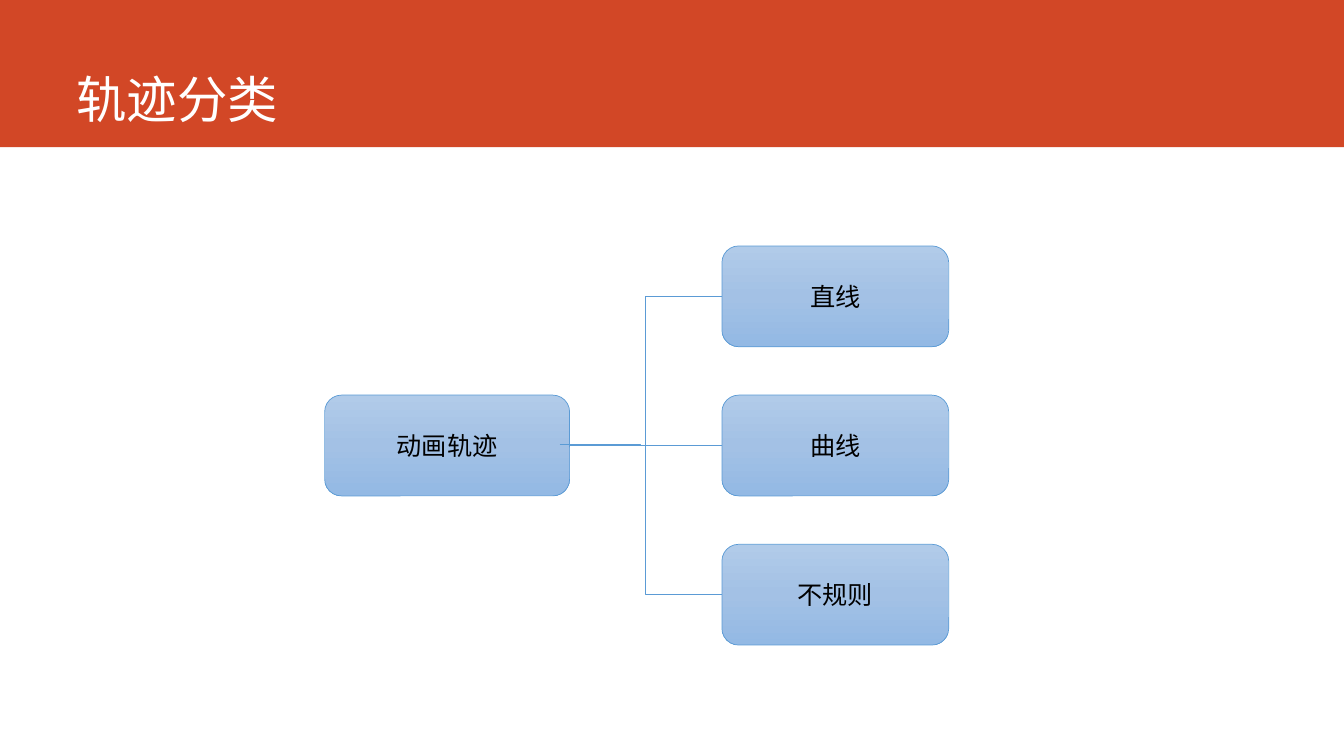
import copy

import pptx
import pptx.dml.color
import pptx.enum.shapes
import pptx.enum.text
import pptx.oxml
import pptx.oxml.ns
import pptx.util

Inches = pptx.util.Inches
RGBColor = pptx.dml.color.RGBColor
SHAPE = pptx.enum.shapes.MSO_SHAPE
ANCHOR = pptx.enum.text.MSO_ANCHOR
ALIGN = pptx.enum.text.PP_ALIGN
qn = pptx.oxml.ns.qn

BANNER_RED = RGBColor(0xD2, 0x47, 0x26)
WHITE = RGBColor(0xFF, 0xFF, 0xFF)
BLACK = RGBColor(0x00, 0x00, 0x00)
LINE_BLUE = RGBColor(0x5B, 0x9B, 0xD5)
GRADIENT = [
    RGBColor(0xB1, 0xCB, 0xE9),
    RGBColor(0xA3, 0xC1, 0xE5),
    RGBColor(0x93, 0xB9, 0xE4),
]
CHINESE_FONT = "Noto Sans CJK SC"


def write_text(shape, text, anchor, align, font_format):
    frame = shape.text_frame
    frame.word_wrap = True
    frame.vertical_anchor = anchor
    para = frame.paragraphs[0]
    para.alignment = align
    span = para.add_run()
    span.text = text
    for name, value in font_format.items():
        setattr(span.font, name, value)
    span.font.color.rgb = WHITE if anchor == ANCHOR.BOTTOM else BLACK
    east_asian = pptx.oxml.parse_xml(
        f'<a:ea {pptx.oxml.ns.nsdecls("a")} typeface="{CHINESE_FONT}"/>')
    span.font._element.find(qn("a:latin")).addnext(east_asian)


def add_node(text, left, top, width):
    node = page.shapes.add_shape(
        SHAPE.ROUNDED_RECTANGLE, Inches(left), Inches(top),
        Inches(width), Inches(NODE_HEIGHT))
    node.shadow.inherit = False
    node.line.color.rgb = LINE_BLUE
    node.line.width = pptx.util.Pt(0.5)

    # Three stops, light at the top
    node.fill.gradient()
    node.fill.gradient_angle = 270
    first_stop = node._element.spPr.find(".//" + qn("a:gs"))
    first_stop.addnext(copy.deepcopy(first_stop))
    for index, stop in enumerate(node.fill.gradient_stops):
        stop.position = index / 2
        stop.color.rgb = GRADIENT[index]

    write_text(node, text, ANCHOR.MIDDLE, ALIGN.CENTER,
               {"size": pptx.util.Pt(18), "name": "Karla"})


deck = pptx.Presentation()
deck.slide_width = Inches(13.33)
deck.slide_height = Inches(7.5)
page = deck.slides.add_slide(deck.slide_layouts[6])

# Title banner
banner = page.shapes.add_shape(
    SHAPE.RECTANGLE, 0, 0, deck.slide_width, Inches(1.46))
banner.shadow.inherit = False
banner.fill.solid()
banner.fill.fore_color.rgb = BANNER_RED
banner.line.fill.background()

title = page.shapes.add_textbox(
    Inches(0.66), 0, Inches(11.76), Inches(1.32))
write_text(title, "轨迹分类", ANCHOR.BOTTOM, ALIGN.LEFT,
           {"size": pptx.util.Pt(36), "name": CHINESE_FONT})

# Tree nodes
NODE_HEIGHT = 1
ROOT_LEFT, ROOT_WIDTH = 3.22, 2.43
LEAF_LEFT, LEAF_WIDTH = 7.16, 2.25
LEAF_TOP, LEAF_STEP = 2.44, 1.48
leaves = ["直线", "曲线", "不规则"]

for row, leaf in enumerate(leaves):
    add_node(leaf, LEAF_LEFT, LEAF_TOP + row * LEAF_STEP, LEAF_WIDTH)
root_top = LEAF_TOP + LEAF_STEP
add_node("动画轨迹", ROOT_LEFT, root_top, ROOT_WIDTH)

# Branches; the middle one starts slightly inside the root
root_right = ROOT_LEFT + ROOT_WIDTH
root_middle = root_top + NODE_HEIGHT / 2
starts = [
    (root_right, root_middle),
    (root_right - 0.1, root_middle - 0.01),
    (root_right, root_middle),
]
for row, (start_x, start_y) in enumerate(starts):
    leaf_middle = LEAF_TOP + row * LEAF_STEP + NODE_HEIGHT / 2
    branch = page.shapes.add_connector(
        pptx.enum.shapes.MSO_CONNECTOR.ELBOW,
        Inches(start_x), Inches(start_y),
        Inches(LEAF_LEFT), Inches(leaf_middle))
    branch.line.color.rgb = LINE_BLUE
    branch.line.width = pptx.util.Pt(0.5)
    branch._element.spPr.append(pptx.oxml.parse_xml(
        f'<a:effectLst {pptx.oxml.ns.nsdecls("a")}/>'))

deck.save("out.pptx")
